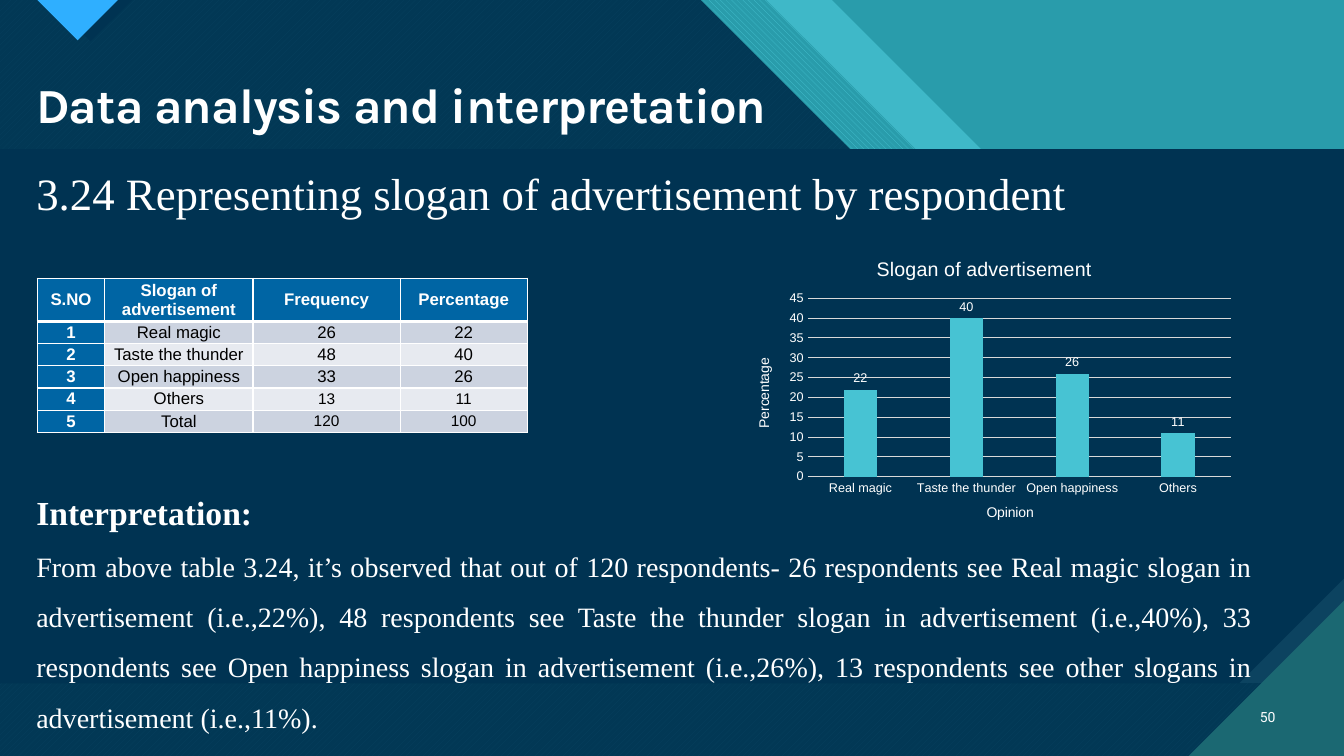
import lxml.etree
import pptx
import pptx.chart.data
import pptx.dml.color
import pptx.enum.chart
import pptx.enum.dml
import pptx.enum.shapes
import pptx.enum.text
import pptx.oxml.ns
import pptx.util

Inches = pptx.util.Inches
Pt = pptx.util.Pt
Align = pptx.enum.text.PP_ALIGN
Anchor = pptx.enum.text.MSO_ANCHOR
Pattern = pptx.enum.dml.MSO_PATTERN
qn = pptx.oxml.ns.qn

WHITE, BLACK, NAVY, AQUA, TEAL, PINE = "FFFFFF", "000000", "003352", "47C3D3", "299CAB", "1B6872"
BLUE, GRID = "0065A4", "D9D9D9"
BANDS = ["CCD3E0", "E7EAF0"]
SERIF = "Times New Roman"


def color(value):
    return pptx.dml.color.RGBColor.from_string(value)


def add_xml(parent, tag, **attributes):
    return lxml.etree.SubElement(parent, qn(tag), attributes)


def place(element, **shares):
    layout = element.find(qn("c:layout"))
    if layout is None:
        layout = lxml.etree.Element(qn("c:layout"))
        element.insert(0, layout)
    manual = add_xml(layout, "c:manualLayout")
    if "w" in shares:
        add_xml(manual, "c:layoutTarget", val="inner")
    for side in "xy":
        add_xml(manual, f"c:{side}Mode", val="edge")
    for side, share in shares.items():
        add_xml(manual, f"c:{side}", val=str(share))


class SlideBuilder:
    def __init__(self, deck):
        self.page = deck.slides.add_slide(deck.slide_layouts[3])
        fill = self.page.background.fill
        fill.solid()
        fill.fore_color.rgb = color(TEAL)

    def style(self, font, size, name="Arial", tint=WHITE, bold=False):
        font.size, font.name, font.bold = Pt(size), name, bold
        font.color.rgb = color(tint)

    def polygon(self, points, tint, alpha=None, pattern=None, back=None):
        corners = [(Inches(x), Inches(y)) for x, y in points]
        builder = self.page.shapes.build_freeform(*corners[0])
        builder.add_line_segments(corners[1:], close=True)
        shape = builder.convert_to_shape()
        shape.shadow.inherit = False
        shape.line.fill.background()
        if pattern:
            shape.fill.patterned()
            shape.fill.pattern = pattern
            shape.fill.back_color.rgb = color(back)
        else:
            shape.fill.solid()
        shape.fill.fore_color.rgb = color(tint)
        if alpha:
            add_xml(shape.element.spPr.find(".//" + qn("a:srgbClr")), "a:alpha", val=str(alpha * 1000))

    def text(self, box, area, lines, name, align, spacing=1.0, anchor=Anchor.TOP):
        box.left, box.top, box.width, box.height = map(Inches, area)
        box.element.getparent().append(box.element)
        frame = box.text_frame
        frame.word_wrap = True
        frame.auto_size = pptx.enum.text.MSO_AUTO_SIZE.NONE
        frame.vertical_anchor = anchor
        for index, (words, size, bold) in enumerate(lines):
            para = frame.add_paragraph() if index else frame.paragraphs[0]
            para.text = words
            para.alignment, para.line_spacing = align, spacing
            para.space_before = para.space_after = Pt(0)
            self.style(para.font, size, name, bold=bold)
            properties = para._p.get_or_add_pPr()
            properties.set("marL", "0")
            properties.set("indent", "0")
            bullet = lxml.etree.Element(qn("a:buNone"))
            properties.find(qn("a:defRPr")).addprevious(bullet)
        return box

    def cell(self, cell, words, fill, tint, size, bold, bottom):
        cell.text = words
        cell.vertical_anchor = Anchor.MIDDLE
        cell.margin_left = cell.margin_right = Inches(0.07)
        cell.margin_top = cell.margin_bottom = 0
        para = cell.text_frame.paragraphs[0]
        para.alignment = Align.CENTER
        self.style(para.font, size, tint=tint, bold=bold)
        properties = cell._tc.get_or_add_tcPr()
        for side, width in (("L", 1), ("R", 1), ("T", 1), ("B", bottom)):
            line = add_xml(properties, f"a:ln{side}", w=str(Pt(width)))
            add_xml(add_xml(line, "a:solidFill"), "a:srgbClr", val=WHITE)
        cell.fill.solid()
        cell.fill.fore_color.rgb = color(fill)

    def table(self, area, widths, heights, rows):
        table = self.page.shapes.add_table(len(rows), len(widths), *map(Inches, area)).table
        for column, width in zip(table.columns, widths):
            column.width = Inches(width)
        for row, (height, values) in enumerate(zip(heights, rows)):
            table.rows[row].height = Inches(height)
            for column, words in enumerate(values):
                header = row == 0 or column == 0
                fill = BLUE if header else BANDS[(row - 1) % 2]
                size = 11 if row >= 4 and column >= 2 else 12
                self.cell(table.cell(row, column), words, fill, WHITE if header else BLACK,
                          size, header, 1 if row else 3)

    def chart_title(self, title, words, size, x, y):
        title.text_frame.text = words
        self.style(title.text_frame.paragraphs[0].font, size)
        place(title.element, x=x, y=y)

    def chart(self, area, categories, values):
        data = pptx.chart.data.CategoryChartData()
        data.categories = categories
        data.add_series("Series 1", values)
        kind = pptx.enum.chart.XL_CHART_TYPE.COLUMN_CLUSTERED
        chart = self.page.shapes.add_chart(kind, *map(Inches, area), data).chart
        self.style(chart.font, 10)
        chart.has_legend = False
        place(chart.element.find(".//" + qn("c:plotArea")), x=0.14, y=0.19, w=0.84, h=0.59)
        self.chart_title(chart.chart_title, "Slogan of advertisement", 14, 0.27, 0.04)
        self.chart_title(chart.category_axis.axis_title, "Opinion", 10, 0.49, 0.86)
        self.chart_title(chart.value_axis.axis_title, "Percentage", 10, 0.03, 0.38)
        for axis in (chart.category_axis, chart.value_axis):
            axis.major_tick_mark = axis.minor_tick_mark = pptx.enum.chart.XL_TICK_MARK.NONE
            self.style(axis.tick_labels.font, 9)
        value_axis = chart.value_axis
        value_axis.minimum_scale, value_axis.maximum_scale, value_axis.major_unit = 0, 45, 5
        value_axis.format.line.fill.background()
        value_axis.has_major_gridlines = True
        for line in (chart.category_axis.format.line, value_axis.major_gridlines.format.line):
            line.color.rgb, line.width = color(GRID), Pt(0.75)
        plot = chart.plots[0]
        plot.gap_width, plot.overlap, plot.vary_by_categories = 219, -27, False
        fill = plot.series[0].format.fill
        fill.solid()
        fill.fore_color.rgb = color(AQUA)
        plot.has_data_labels = True
        plot.data_labels.show_value = True
        plot.data_labels.position = pptx.enum.chart.XL_LABEL_POSITION.OUTSIDE_END
        self.style(plot.data_labels.font, 9)


def main():
    deck = pptx.Presentation()
    deck.slide_width, deck.slide_height = Inches(13.33), Inches(7.5)
    slide = SlideBuilder(deck)
    shapes = slide.page.shapes

    def slope(left):
        return [(0, 0), (left, 0), (left + 2.97, 2.97), (11.18, 2.97), (13.33, 5.12), (13.33, 7.5), (0, 7.5)]

    slide.polygon(slope(8.25), AQUA, alpha=74)
    slide.polygon(slope(7.6), AQUA, pattern=Pattern.WIDE_DOWNWARD_DIAGONAL, back=TEAL)
    slide.polygon(slope(6.95), AQUA, pattern=Pattern.WIDE_UPWARD_DIAGONAL, back=PINE)
    slide.polygon(slope(6.95), NAVY, alpha=90)
    slide.polygon([(0.48, 0), (1.31, 0), (0.9, 0.41)], NAVY)
    slide.polygon([(0.37, 0), (1.17, 0), (0.77, 0.4)], "2FAFFF")
    slide.polygon([(0, 1.48), (13.33, 1.48), (13.33, 6.78), (0, 6.78)], "0C4360")
    slide.polygon([(0, 1.48), (13.33, 1.48), (13.33, 5.74), (12.29, 6.78), (0, 6.78)], NAVY)
    slide.polygon([(11.79, 7.5), (13.33, 7.5), (13.33, 5.96)], PINE)

    title = slide.text(shapes.title, (0.26, 0.76, 7.56, 0.63),
                       [("Data analysis and interpretation", 35, True)], "Karla", Align.LEFT, 0.9)
    title.text_frame.paragraphs[0].runs[0].font._element.set("spc", "-70")
    number = shapes.add_textbox(0, 0, 0, 0)
    slide.text(number, (12.31, 6.91, 0.44, 0.4), [("50", 10, False)], "Roboto", Align.RIGHT,
               anchor=Anchor.MIDDLE)
    slide.text(slide.page.placeholders[1], (0.26, 1.59, 12.49, 0.64),
               [("3.24 Representing slogan of advertisement by respondent", 32, False)], SERIF, Align.JUSTIFY)
    findings = (
        "From above table 3.24, it’s observed that out of 120 respondents- 26 respondents see Real magic "
        "slogan in advertisement (i.e.,22%), 48 respondents see Taste the thunder slogan in advertisement "
        "(i.e.,40%), 33 respondents see Open happiness slogan in advertisement (i.e.,26%), 13 respondents "
        "see other slogans in advertisement (i.e.,11%).")
    slide.text(slide.page.placeholders[2], (0.26, 4.63, 12.26, 2.67),
               [("Interpretation:", 24, True), (findings, 20, False)], SERIF, Align.JUSTIFY, 1.5)

    slide.table((0.37, 2.76, 4.86, 1.53), [0.67, 1.47, 1.46, 1.26], [0.43] + [0.22] * 5, [
        ["S.NO", "Slogan of advertisement", "Frequency", "Percentage"],
        ["1", "Real magic", "26", "22"],
        ["2", "Taste the thunder", "48", "40"],
        ["3", "Open happiness", "33", "26"],
        ["4", "Others", "13", "11"],
        ["5", "Total", "120", "100"],
    ])
    slide.chart((7.31, 2.39, 5, 3), ["Real magic", "Taste the thunder", "Open happiness", "Others"],
                [22, 40, 26, 11])
    deck.save("out.pptx")


if __name__ == "__main__":
    main()
